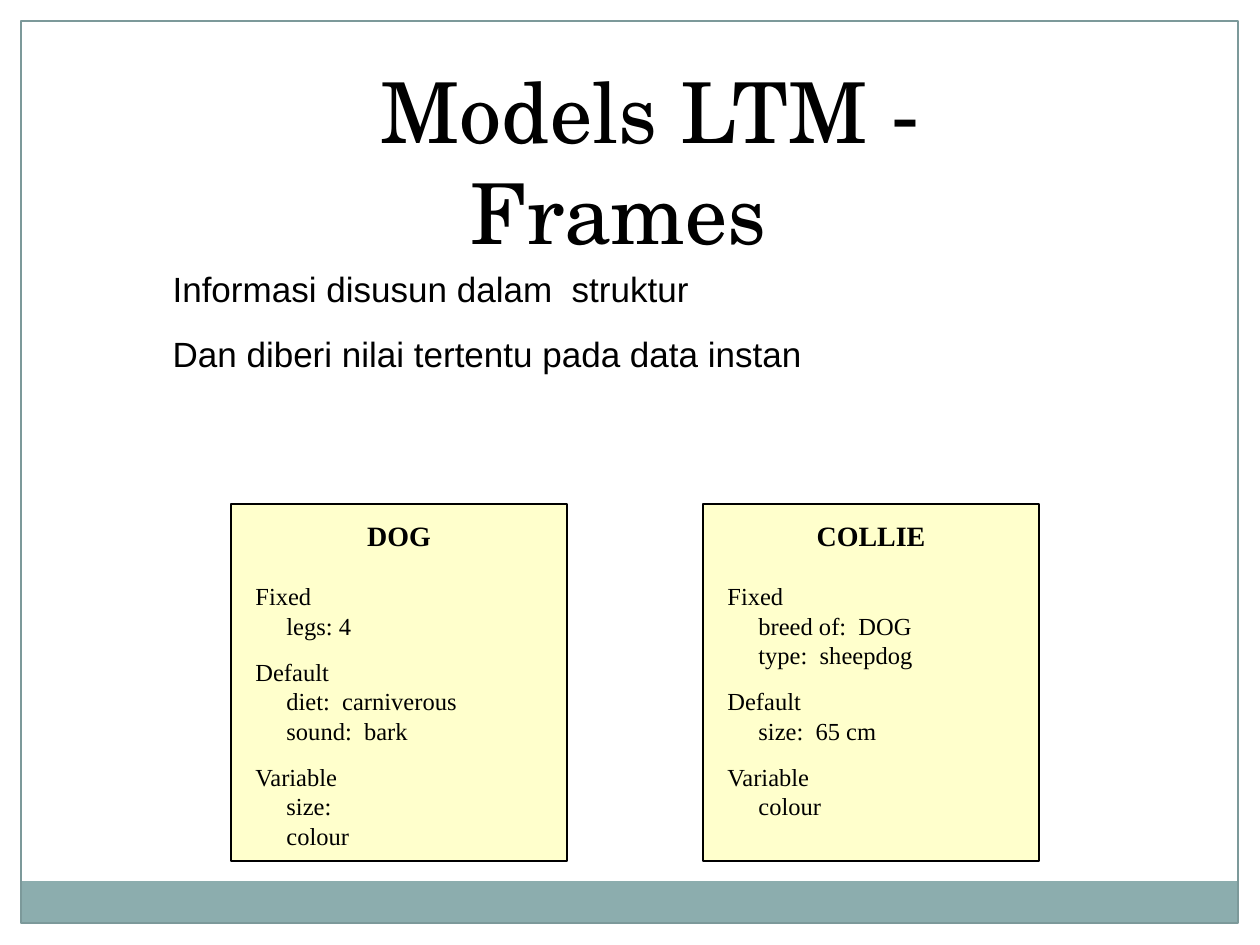
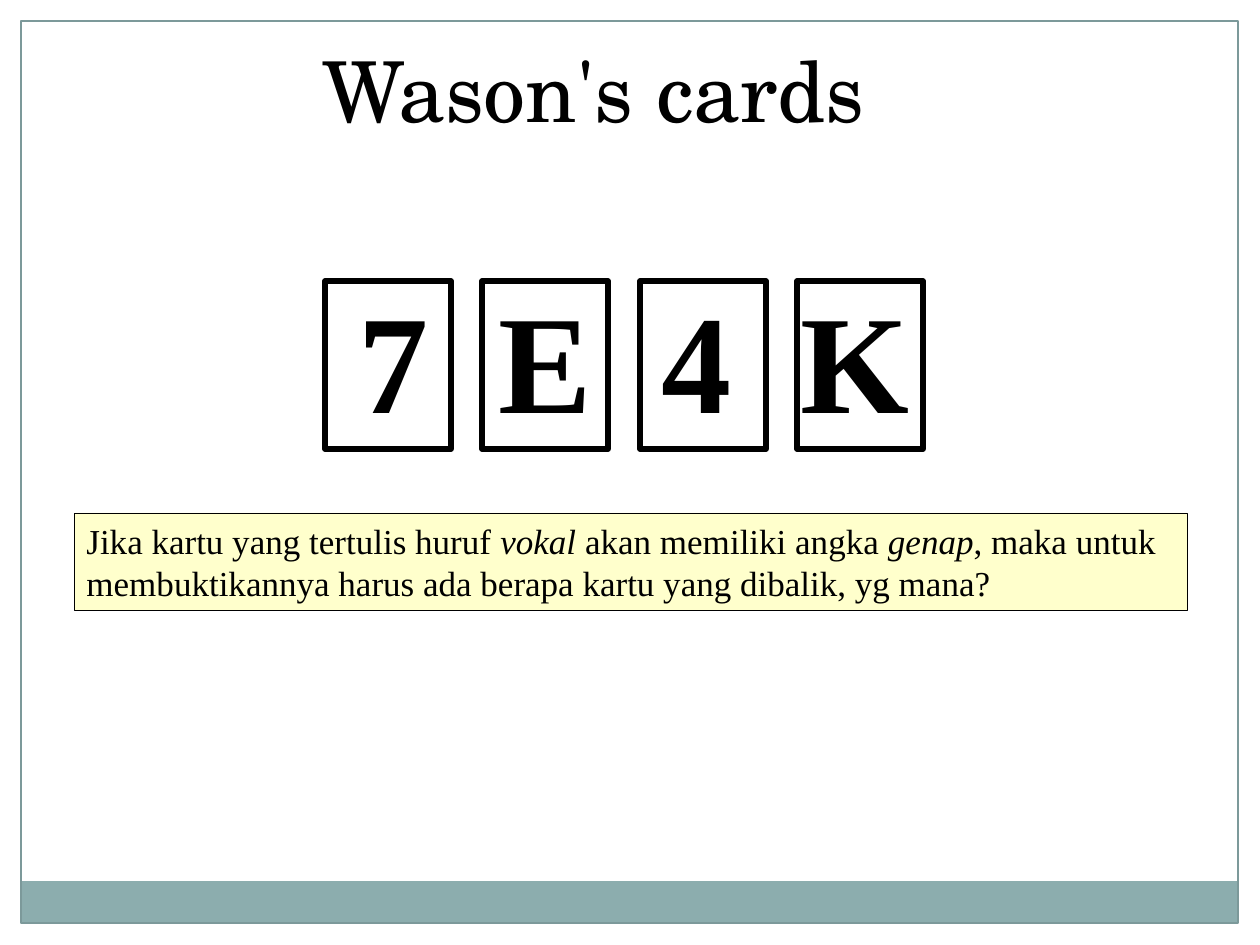
import pptx
import pptx.util
import pptx.dml.color
import pptx.enum.shapes
import pptx.enum.text
import pptx.oxml

PX = 914400 / 126
HUE = {"band": "8CADAE", "edge": "7C999A", "note": "FFFFCC",
       "ink": "000000", "page": "FFFFFF"}
HEAD, BODY, SERIF = "TeX Gyre Schola", "Arial", "Times New Roman"
ALIGN = pptx.enum.text.PP_ALIGN
ANCHOR = pptx.enum.text.MSO_ANCHOR


def box(slide, area, fill=None, line=None, width=1):
    shape = slide.shapes.add_shape(pptx.enum.shapes.MSO_SHAPE.RECTANGLE,
                                   *[round(n * PX) for n in area])
    shape.shadow.inherit = False
    if fill:
        shape.fill.solid()
        shape.fill.fore_color.rgb = pptx.dml.color.RGBColor.from_string(HUE[fill])
    else:
        shape.fill.background()
    if line:
        shape.line.color.rgb = pptx.dml.color.RGBColor.from_string(HUE[line])
        shape.line.width = pptx.util.Pt(width)
    else:
        shape.line.fill.background()
    return shape


def write(shape, text, size, font=SERIF, bold=False, align=ALIGN.LEFT,
          before=0, left=0, first=0, anchor=ANCHOR.TOP):
    """Add a paragraph; parts between asterisks are italic."""
    frame = shape.text_frame
    frame.word_wrap = True
    frame.auto_size = pptx.enum.text.MSO_AUTO_SIZE.NONE
    frame.vertical_anchor = anchor
    para = frame.add_paragraph() if frame.text else frame.paragraphs[0]
    para.alignment = align
    para.space_before = pptx.util.Pt(before)
    props = para._p.get_or_add_pPr()
    props.set("marL", str(round(left * PX)))
    props.set("indent", str(round(first * PX)))
    props.append(pptx.oxml.parse_xml(
        '<a:buNone xmlns:a="http://schemas.openxmlformats.org/drawingml/2006/main"/>'))
    for i, part in enumerate(text.split("*")):
        run = para.add_run()
        run.text = part
        run.font.name = font
        run.font.size = pptx.util.Pt(size)
        run.font.bold = bold
        run.font.italic = i % 2 == 1
        run.font.color.rgb = pptx.dml.color.RGBColor.from_string(HUE["ink"])


deck = pptx.Presentation()
deck.slide_width = round(1260 * PX)
deck.slide_height = round(945 * PX)
frames = deck.slides.add_slide(deck.slide_layouts[1])
cards = deck.slides.add_slide(deck.slide_layouts[5])

# Shared border and band go on the master, behind everything else
border = [
    ((0, 0, 1260, 21), "page", None),
    ((1239, 0, 21, 945), "page", None),
    ((0, 0, 21, 945), "page", None),
    ((21, 881, 1217, 43), "band", None),
    ((21, 21, 1217, 902), None, "edge"),
]
for i, (area, fill, line) in enumerate(border):
    shape = box(frames, area, fill, line, 0.75)
    shape.element.nvSpPr.cNvPr.set("id", str(100 + i))
    deck.slide_master.shapes.element.insert(2 + i, shape.element)

# Titles and list
titles = [
    (frames, "Models LTM - Frames", (158, 53, 921, 115), 63),
    (cards, "Wason's cards", (63, 32, 1061, 115), 0),
]
for slide, text, area, first in titles:
    title = slide.shapes.title
    title.left, title.top, title.width, title.height = [round(n * PX) for n in area]
    write(title, text, 48, HEAD, align=ALIGN.CENTER, first=first)

points = frames.placeholders[1]
points.left, points.top, points.width, points.height = [
    round(n * PX) for n in (160, 261, 660, 118)]
write(points, "Informasi disusun dalam  struktur", 20, BODY)
write(points, "Dan diberi nilai tertentu pada data instan", 20, BODY, before=13)

# Slide 1: one box per frame, with its slots by group
models = [
    ("DOG", {"Fixed": ["legs: 4"],
             "Default": ["diet:  carniverous", "sound:  bark"],
             "Variable": ["size:", "colour"]}),
    ("COLLIE", {"Fixed": ["breed of:  DOG", "type:  sheepdog"],
                "Default": ["size:  65 cm"],
                "Variable": ["colour"]}),
]
for i, (name, groups) in enumerate(models):
    model = box(frames, (231 + 472 * i, 504, 336, 357), "note", "ink", 1.5)
    model.text_frame.margin_top = round(15 * PX)
    write(model, name, 16, bold=True, align=ALIGN.CENTER)
    gap = 16.5
    for group, slots in groups.items():
        write(model, group, 14, before=gap, left=12)
        gap = 9.5
        for slot in slots:
            write(model, slot, 14, left=43)

# Slide 2: the rule and four cards
rule = box(cards, (74, 513, 1113, 97), "note", "ink", 0.25)
write(rule, "Jika kartu yang tertulis huruf *vokal *akan memiliki angka *genap*, "
      "maka untuk membuktikannya harus ada berapa kartu yang dibalik, yg mana?",
      20, anchor=ANCHOR.MIDDLE)

for i, (face, inset) in enumerate([("7", 34), ("E", 17), ("4", 22), ("K", 4)]):
    card = box(cards, (325 + 630 * i // 4, 281, 126, 168), None, "ink", 3)
    area = card.text_frame
    area.margin_left = round(inset * PX)
    area.margin_right = area.margin_top = 0
    area.margin_bottom = round(15 * PX)
    write(card, face, 80, bold=True, anchor=ANCHOR.MIDDLE)

deck.save("out.pptx")
